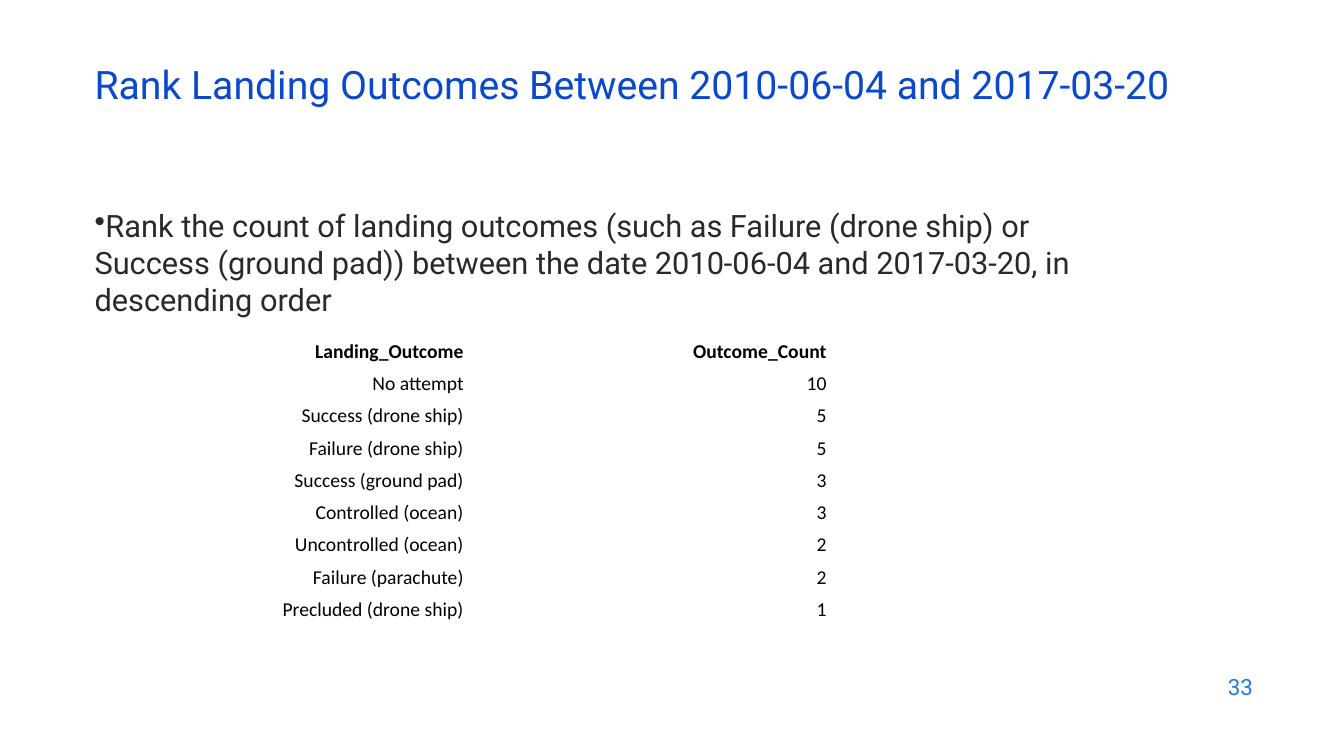
from dataclasses import dataclass

from lxml.etree import SubElement
from pptx import Presentation
from pptx.dml.color import RGBColor
from pptx.enum.text import MSO_ANCHOR, PP_ALIGN
from pptx.oxml.ns import qn
from pptx.util import Pt


@dataclass(frozen=True)
class Theme:
    """Colours, fonts and type sizes of the slide."""
    title_color: RGBColor = RGBColor(0x0B, 0x49, 0xCB)
    body_color: RGBColor = RGBColor(0x29, 0x29, 0x29)
    number_color: RGBColor = RGBColor(0x1C, 0x7D, 0xDB)
    table_color: RGBColor = RGBColor(0, 0, 0)
    table_fill: RGBColor = RGBColor(0xFF, 0xFF, 0xFF)
    text_font: str = "Roboto"
    table_font: str = "Calibri"
    title_size: int = 28
    body_size: int = 22
    number_size: int = 16
    table_size: int = 14


THEME = Theme()
OUTCOMES = [
    ("Landing_Outcome", "Outcome_Count"),
    ("No attempt", "10"),
    ("Success (drone ship)", "5"),
    ("Failure (drone ship)", "5"),
    ("Success (ground pad)", "3"),
    ("Controlled (ocean)", "3"),
    ("Uncontrolled (ocean)", "2"),
    ("Failure (parachute)", "2"),
    ("Precluded (drone ship)", "1"),
]


def apply_format(target, values):
    """Set each named attribute of the target."""
    for name, value in values.items():
        setattr(target, name, value)


def style_font(font, name, size, color, bold=False):
    """Give a font its face, size, colour and weight."""
    apply_format(font, {"name": name, "size": Pt(size), "bold": bold})
    font.color.rgb = color


def add_text(slide, box, text, size, color, anchor=MSO_ANCHOR.MIDDLE, bullet=None, **layout):
    """Place one paragraph of text in the box."""
    frame = slide.shapes.add_textbox(*map(Pt, box)).text_frame
    apply_format(frame, {"word_wrap": True, "vertical_anchor": anchor})
    paragraph = frame.paragraphs[0]
    paragraph.text = text
    apply_format(paragraph, layout)
    if bullet:
        properties = paragraph._p.get_or_add_pPr()
        SubElement(properties, qn("a:buChar"), char=bullet)
    style_font(paragraph.runs[0].font, THEME.text_font, size, color)


def add_title(slide, box):
    """Place the slide title."""
    add_text(slide, box, "Rank Landing Outcomes Between 2010-06-04 and 2017-03-20",
             THEME.title_size, THEME.title_color, line_spacing=0.7)


def add_body(slide, box):
    """Place the bulleted task description."""
    add_text(slide, box,
             "Rank the count of landing outcomes (such as Failure (drone ship) or "
             "Success (ground pad)) between the date 2010-06-04 and 2017-03-20, "
             "in descending order",
             THEME.body_size, THEME.body_color, MSO_ANCHOR.TOP, bullet="•")


def add_slide_number(slide, box):
    """Place the slide number at the right of the box."""
    add_text(slide, box, "33", THEME.number_size, THEME.number_color,
             alignment=PP_ALIGN.RIGHT)


def add_outcome_table(slide, box):
    """Place the ranked outcomes in equal rows and columns."""
    table = slide.shapes.add_table(len(OUTCOMES), len(OUTCOMES[0]), *map(Pt, box)).table
    apply_format(table, {"first_row": False, "horz_banding": False})
    cell_format = {
        "margin_left": Pt(5.76), "margin_right": Pt(5.76),
        "margin_top": Pt(2.88), "margin_bottom": Pt(2.88),
        "vertical_anchor": MSO_ANCHOR.MIDDLE,
    }
    for row_index, values in enumerate(OUTCOMES):
        for column_index, value in enumerate(values):
            cell = table.cell(row_index, column_index)
            apply_format(cell, cell_format)
            cell.fill.solid()
            cell.fill.fore_color.rgb = THEME.table_fill
            paragraph = cell.text_frame.paragraphs[0]
            apply_format(paragraph, {"text": value, "alignment": PP_ALIGN.RIGHT})
            style_font(paragraph.runs[0].font, THEME.table_font, THEME.table_size,
                       THEME.table_color, bold=row_index == 0)


def main():
    """Build the slide and save it."""
    presentation = Presentation()
    apply_format(presentation, {"slide_width": Pt(960), "slide_height": Pt(540)})
    slide = presentation.slides.add_slide(presentation.slide_layouts[6])
    add_slide_number(slide, (686.16, 474.48, 216, 31.68))
    add_body(slide, (60.48, 144, 767.52, 342.72))
    add_title(slide, (60.48, 42.48, 828, 43.2))
    add_outcome_table(slide, (77.76, 239.76, 518.4, 207.36))
    presentation.save("out.pptx")


if __name__ == "__main__":
    main()
